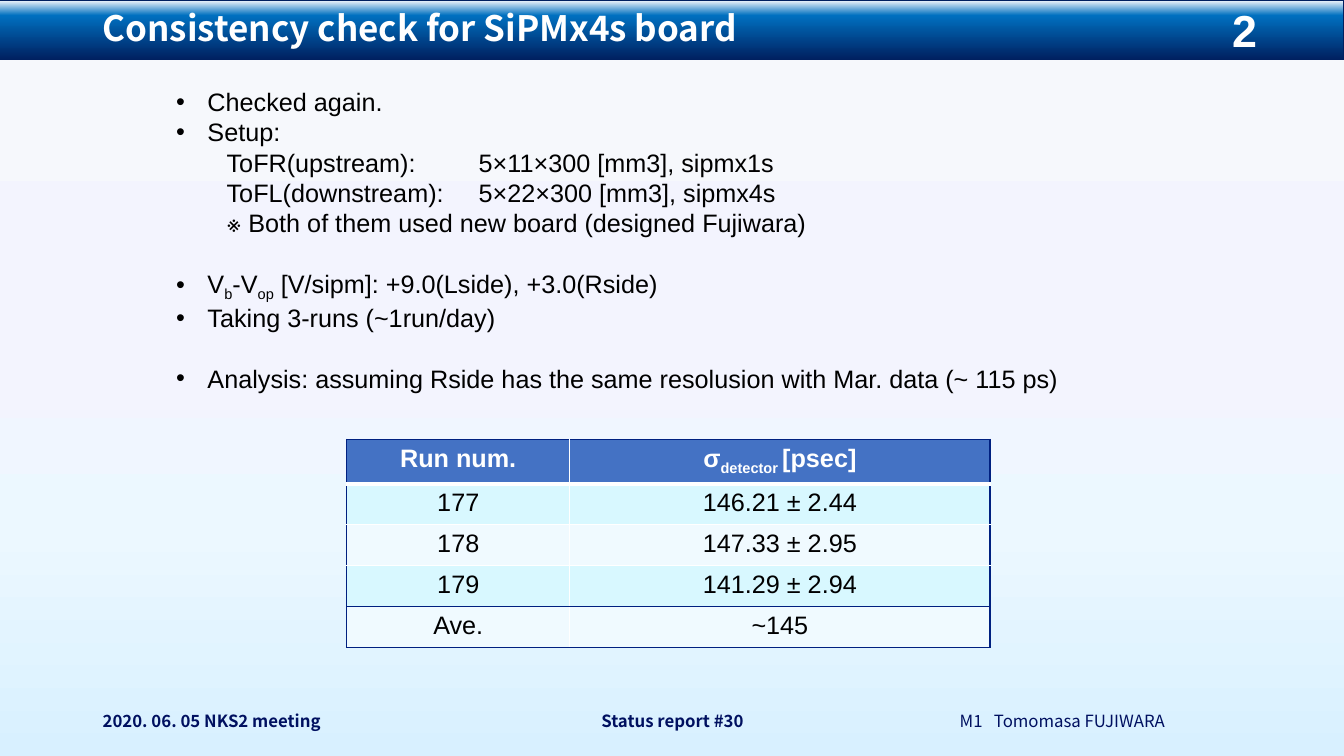
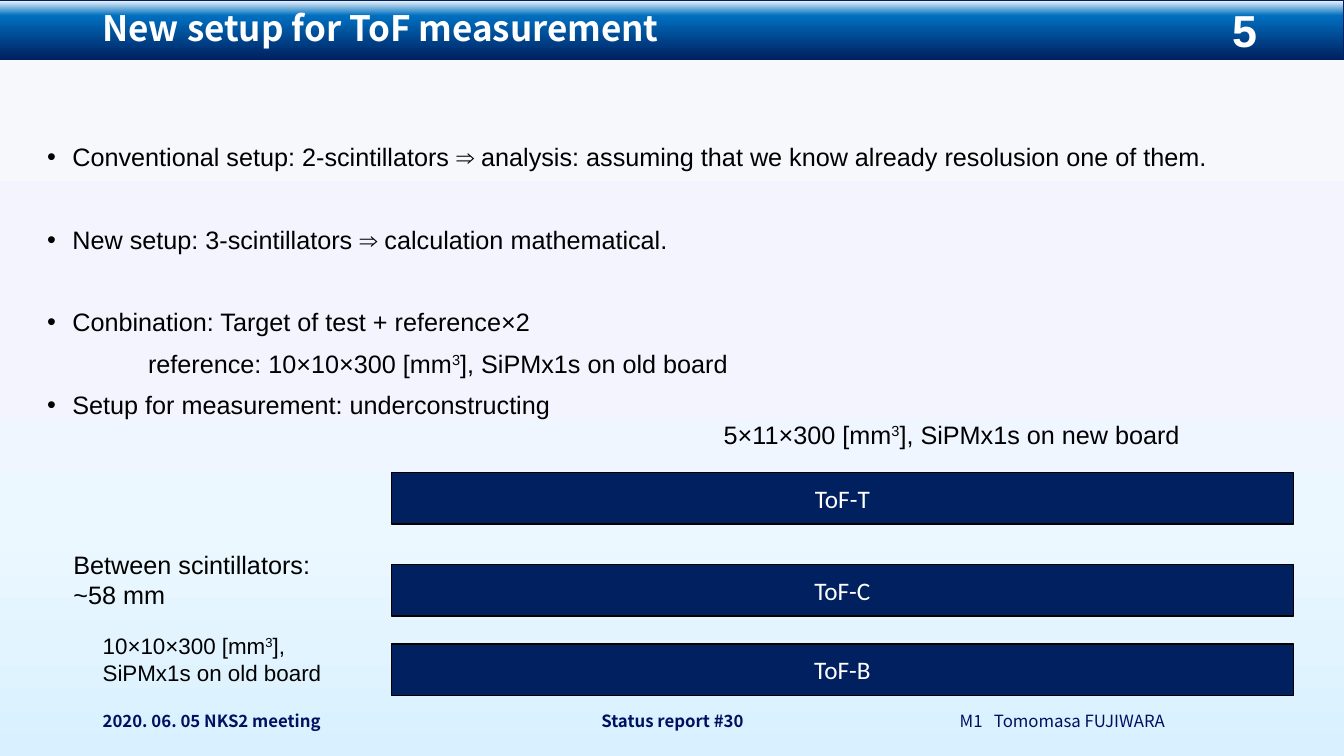
from pptx import Presentation
from pptx.dml.color import RGBColor
from pptx.enum.shapes import MSO_SHAPE
from pptx.enum.text import MSO_ANCHOR, PP_ALIGN
from pptx.oxml.ns import qn
from pptx.util import Inches, Pt
from lxml.etree import SubElement

NAVY, DEEP, BLACK, WHITE = "002060", "002080", "000000", "FFFFFF"
BACKGROUND = [(0, "F6F8FC"), (48, "F3F4FE"), (70, "ECF8FF"), (100, "D8F0FF")]
BAND = [(0, "F6F8FC"), (26, "0070C0"), (100, NAVY)]

BODY = dict(name="Arial", size=18, color=BLACK)
CAPTION = dict(BODY, size=16)
TITLE = dict(name="Noto Sans CJK JP", size=25, color=WHITE, bold=True)
NUMBER = dict(name="Arial", size=32, color=WHITE, bold=True)
AUTHOR = dict(name="Noto Sans CJK JP", size=12, color="001060")
FOOTER = dict(AUTHOR, bold=True)
LABEL = dict(name="Calibri", size=18, color=WHITE)
HEADING = dict(BODY, color=WHITE, bold=True)

CENTER = dict(alignment=PP_ALIGN.CENTER)
BAND_BOX = (0, 0, 13.33, 0.59)
TITLE_BOX = (0.92, 0, 11.5, 0.59)
NUMBER_BOX = (11.36, 0, 1.97, 0.59)
FOOTERS = [
    ((0.92, 6.95, 3, 0.4), ["2020. 06. 05 NKS2 meeting"], FOOTER, {}),
    ((4.42, 6.95, 4.5, 0.4), ["Status report #30"], FOOTER, CENTER),
    ((9.42, 6.95, 3, 0.4), ["M1\tTomomasa FUJIWARA"], AUTHOR, dict(left=0.34, first=-0.34)),
]

POINT = dict(bullet=True, left=0.31, first=-0.31)
POINT_APART = dict(POINT, space_before=Pt(21.6))
COLUMNS = dict(left=3, first=-2.5)
CHECK_BOX = (1.65, 0.81, 10.04, 3.13)
CHECK_LINES = [
    (["Checked again."], POINT),
    (["Setup:"], POINT),
    (["ToFR(upstream):\t5×11×300 [mm3], sipmx1s"], COLUMNS),
    (["ToFL(downstream):\t5×22×300 [mm3], sipmx4s"], COLUMNS),
    (["※ Both of them used new board (designed Fujiwara)"], dict(left=0.5)),
    (["V", ("b", -25), "-V", ("op", -25), " [V/sipm]: +9.0(Lside), +3.0(Rside)"], POINT_APART),
    (["Taking 3-runs (~1run/day)"], POINT),
    (["Analysis: assuming Rside has the same resolusion with Mar. data (~ 115 ps)"], POINT_APART),
]
TABLE_BOX = (3.44, 4.36, 6.38, 2.03)
TABLE_WIDTHS = [2.21, 4.17]
TABLE_ROWS = [
    (["Run num."], ["σ", ("detector ", -25), "[psec]"]),
    (["177"], ["146.21 ± 2.44"]),
    (["178"], ["147.33 ± 2.95"]),
    (["179"], ["141.29 ± 2.94"]),
    (["Ave."], ["~145"]),
]
ROW_FILLS = ["4472C4", "D8F8FF", "F0FAFF", "D8F8FF", "F0FAFF"]
ROW_RULES = [(DEEP, 1), (WHITE, 3), (WHITE, 1), (WHITE, 1), (DEEP, 0.5), (DEEP, 1)]
COLUMN_RULES = [(DEEP, 1), (WHITE, 1), (DEEP, 1)]

LOOSE = dict(line_spacing=0.9, space_before=Pt(10))
ITEM = dict(LOOSE, bullet=True, left=0.25, first=-0.25)
ITEM_APART = dict(ITEM, space_before=Pt(39.5))
SETUP_BOX = (0.37, 1.39, 12.6, 5.43)
CUBED = ("3", 30)
SETUP_LINES = [
    (["Conventional setup: 2-scintillators ⇒ analysis: assuming that we know already "
      "resolusion one of them."], ITEM),
    (["New setup: 3-scintillators ⇒ calculation mathematical."], ITEM_APART),
    (["Conbination: Target of test + reference×2"], ITEM_APART),
    (["reference: 10×10×300 [mm", CUBED, "], SiPMx1s on old board"], dict(LOOSE, left=1)),
    (["Setup for measurement: underconstructing"], ITEM),
]
SCINTILLATORS = [("ToF-T", 4.69), ("ToF-C", 5.6), ("ToF-B", 6.39)]
CAPTIONS = [
    ((0.92, 6.22, 2.57, 0.64),
     [(["10×10×300 [mm", CUBED, "],"], {}), (["SiPMx1s on old board"], {})], CAPTION),
    ((7.08, 4.11, 5.34, 0.4),
     [(["5×11×300 [mm", CUBED, "], SiPMx1s on new board"], {})], BODY),
    ((0.63, 5.4, 2.57, 0.71),
     [(["Between scintillators:"], {}), (["~58 mm"], {})], BODY),
]


def rgb(value):
    return RGBColor.from_string(value)


def place(box):
    return [Inches(length) for length in box]


def paint_gradient(fill, owner, stops):
    fill.gradient()
    fill.gradient_angle = 270
    stop_list = next(owner.iter(qn("a:gsLst")))
    for stop in list(stop_list):
        stop_list.remove(stop)
    for percent, color in stops:
        stop = SubElement(stop_list, qn("a:gs"), pos=str(percent * 1000))
        SubElement(stop, qn("a:srgbClr"), val=color)


def format_para(para, layout):
    settings = dict(layout)
    bullet = settings.pop("bullet", False)
    left, first = settings.pop("left", 0), settings.pop("first", 0)
    for name, value in settings.items():
        setattr(para, name, value)
    properties = para._p.get_or_add_pPr()
    properties.set("marL", str(Inches(left)))
    properties.set("indent", str(Inches(first)))
    if bullet:
        SubElement(properties, qn("a:buFont"), typeface="Arial")
        SubElement(properties, qn("a:buChar"), char="•")


def write(frame, lines, style):
    for index, (pieces, layout) in enumerate(lines):
        para = frame.add_paragraph() if index else frame.paragraphs[0]
        format_para(para, layout)
        for piece in pieces:
            text, baseline = (piece, 0) if isinstance(piece, str) else piece
            span = para.add_run()
            span.text = text
            settings = dict(style, size=Pt(style["size"]))
            span.font.color.rgb = rgb(settings.pop("color"))
            for name, value in settings.items():
                setattr(span.font, name, value)
            if baseline:
                span._r.get_or_add_rPr().set("baseline", str(baseline * 1000))


def add_text(page, box, lines, style, anchor=MSO_ANCHOR.TOP):
    frame = page.shapes.add_textbox(*place(box)).text_frame
    frame.word_wrap = True
    frame.vertical_anchor = anchor
    write(frame, lines, style)


def add_bar(page, box, line_color, line_width):
    bar = page.shapes.add_shape(MSO_SHAPE.RECTANGLE, *place(box))
    bar.shadow.inherit = False
    bar.line.color.rgb = rgb(line_color)
    bar.line.width = Pt(line_width)
    return bar


def add_page(deck, title, number):
    page = deck.slides.add_slide(deck.slide_layouts[6])
    band = add_bar(page, BAND_BOX, NAVY, 0.75)
    paint_gradient(band.fill, band.element, BAND)
    parts = [
        (TITLE_BOX, [title], TITLE, dict(line_spacing=0.9)),
        (NUMBER_BOX, [number], NUMBER, CENTER),
    ]
    for box, pieces, style, layout in parts + FOOTERS:
        add_text(page, box, [(pieces, layout)], style, MSO_ANCHOR.MIDDLE)
    return page


def rule_cell(cell, rules):
    properties = cell._tc.get_or_add_tcPr()
    for index, (side, (color, width)) in enumerate(rules.items()):
        line = SubElement(properties, qn("a:ln" + side), w=str(Pt(width)))
        SubElement(SubElement(line, qn("a:solidFill")), qn("a:srgbClr"), val=color)
        properties.insert(index, line)


def add_runs_table(page):
    table = page.shapes.add_table(len(TABLE_ROWS), len(TABLE_WIDTHS), *place(TABLE_BOX)).table
    for column, width in zip(table.columns, TABLE_WIDTHS):
        column.width = Inches(width)
    for row, values in enumerate(TABLE_ROWS):
        for column, pieces in enumerate(values):
            cell = table.cell(row, column)
            cell.fill.solid()
            cell.fill.fore_color.rgb = rgb(ROW_FILLS[row])
            write(cell.text_frame, [(pieces, CENTER)], BODY if row else HEADING)
            rule_cell(cell, dict(L=COLUMN_RULES[column], R=COLUMN_RULES[column + 1],
                                 T=ROW_RULES[row], B=ROW_RULES[row + 1]))


def add_scintillator(page, name, top):
    bar = add_bar(page, (3.88, top, 8.95, 0.51), BLACK, 1)
    bar.fill.solid()
    bar.fill.fore_color.rgb = rgb(NAVY)
    bar.text_frame.vertical_anchor = MSO_ANCHOR.MIDDLE
    write(bar.text_frame, [([name], CENTER)], LABEL)


def main():
    deck = Presentation()
    deck.slide_width, deck.slide_height = Inches(13.33), Inches(7.5)
    master = deck.slide_master
    paint_gradient(master.background.fill, master.element, BACKGROUND)

    check = add_page(deck, "Consistency check for SiPMx4s board", "2")
    add_text(check, CHECK_BOX, CHECK_LINES, BODY)
    add_runs_table(check)

    setup = add_page(deck, "New setup for ToF measurement", "5")
    add_text(setup, SETUP_BOX, SETUP_LINES, BODY)
    for name, top in SCINTILLATORS:
        add_scintillator(setup, name, top)
    for box, lines, style in CAPTIONS:
        add_text(setup, box, lines, style)
    deck.save("out.pptx")


if __name__ == "__main__":
    main()
